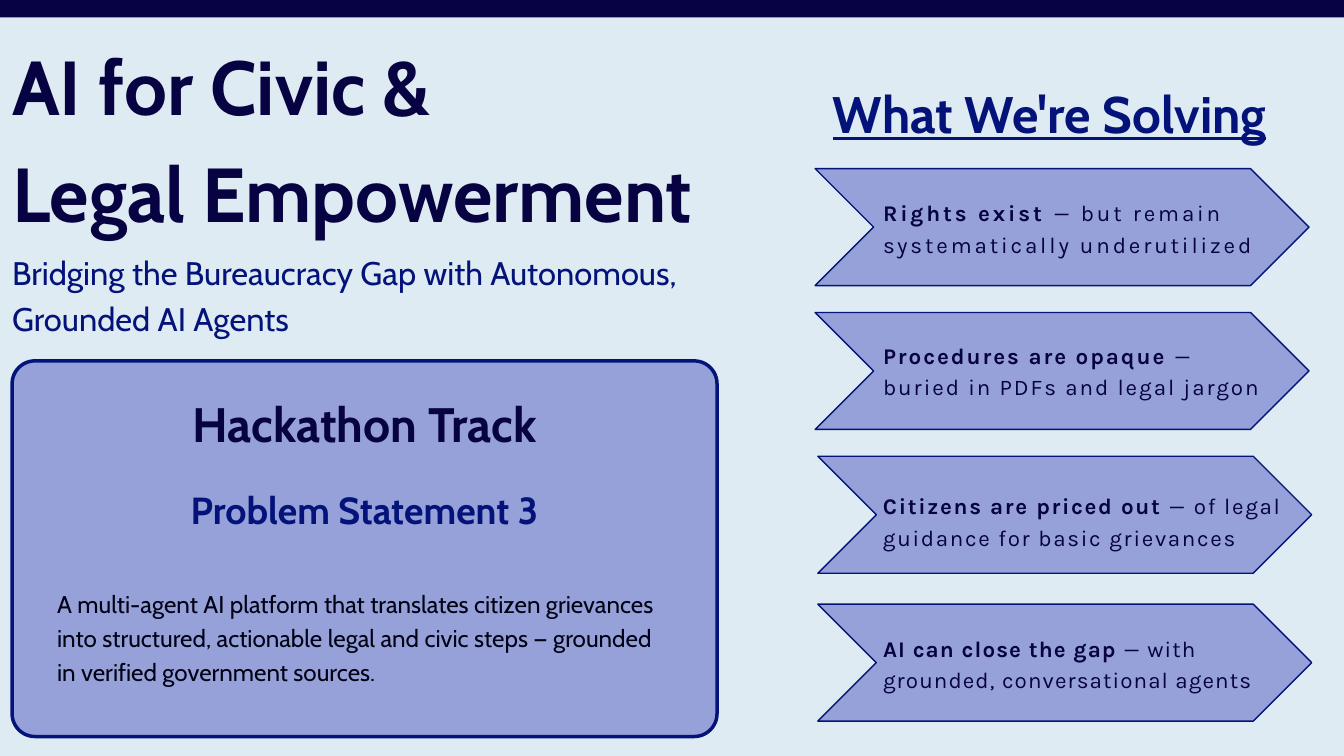
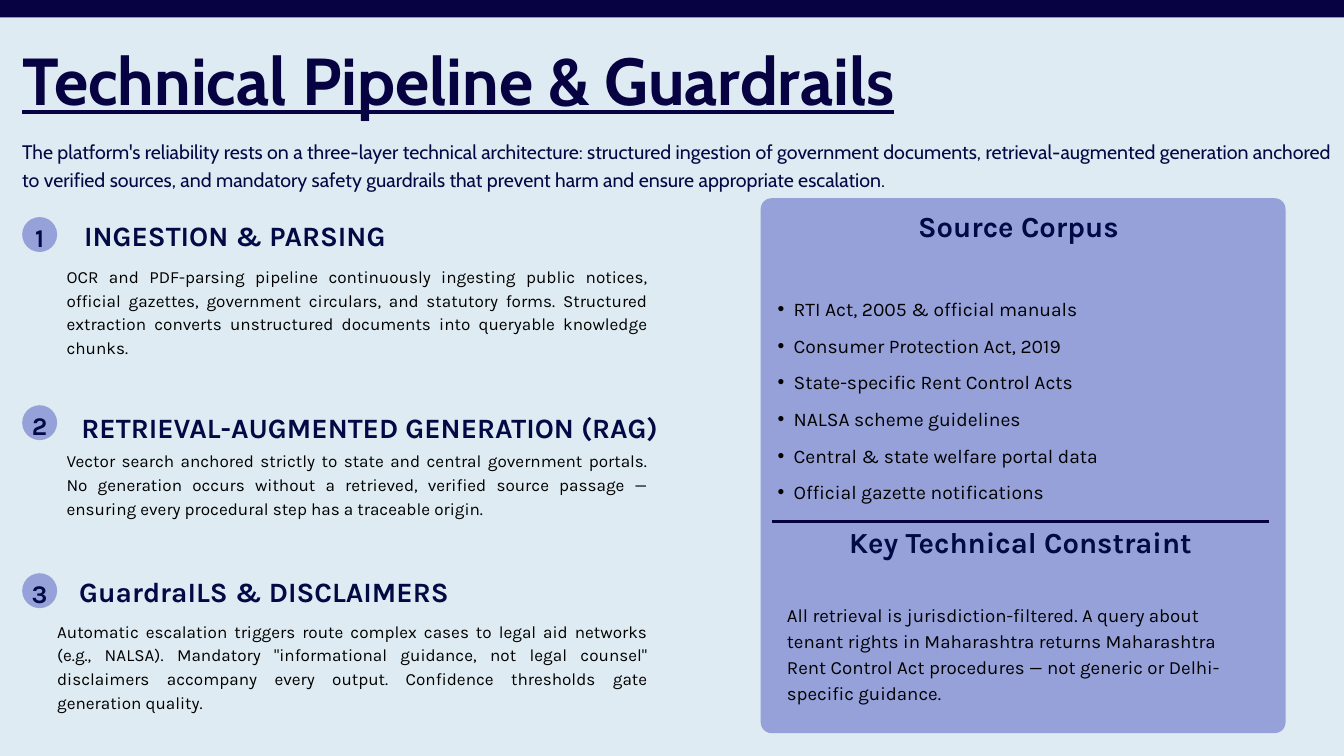
from dataclasses import dataclass, replace

from lxml.etree import SubElement
from pptx import Presentation
from pptx.dml.color import RGBColor
from pptx.enum.shapes import MSO_CONNECTOR, MSO_SHAPE
from pptx.enum.text import MSO_ANCHOR, MSO_AUTO_SIZE, PP_ALIGN
from pptx.oxml.ns import qn
from pptx.util import Pt

EMU_PER_PX = 9144


def px(length):
    return length * EMU_PER_PX


@dataclass(frozen=True)
class Box:
    left: int
    top: int
    width: int
    height: int

    def inset(self, left, top, width, height):
        return Box(self.left + left, self.top + top, width, height)

    def emu(self):
        return px(self.left), px(self.top), px(self.width), px(self.height)


@dataclass(frozen=True)
class Style:
    font: str
    size: float
    leading: float
    color: str
    bold: bool = False
    underline: bool = False


class Theme:
    paper = "DEEBF2"
    navy = "070241"
    blue = "04137A"
    ink = "020A45"
    black = "000000"
    lavender = "96A1D9"
    display = "Cabin"
    text = "Karla"

    cover_title = Style(display, 81.9, 114.7, navy, bold=True)
    cover_subtitle = Style(display, 35, 49, blue)
    cover_heading = Style(display, 55, 77, blue, bold=True, underline=True)
    track = Style(display, 51.8, 48.1, navy, bold=True)
    statement = Style(display, 40.4, 37.5, blue, bold=True)
    summary = Style(display, 25.9, 36.2, "010115")
    problem = Style(text, 24, 33.6, navy, bold=True)

    page_title = Style(display, 71.1, 99.5, navy, bold=True, underline=True)
    intro = Style(display, 21, 29.4, ink)
    badge = Style(text, 27.3, 38.2, ink, bold=True)
    layer = Style(text, 30, 42, ink, bold=True)
    layer_body = Style(text, 18.3, 25.6, black)
    panel_heading = Style(text, 31.2, 43.6, ink, bold=True)
    source = Style(text, 20.7, 39.3, black)
    constraint = Style(text, 20, 28, black)


@dataclass(frozen=True)
class Span:
    text: str
    style: Style
    tracking: float = 0


@dataclass(frozen=True)
class Para:
    spans: tuple
    align: PP_ALIGN = PP_ALIGN.LEFT
    before: float = 0
    bullet: str = ""


def line(text, style, align=PP_ALIGN.LEFT, before=0, bullet=""):
    return Para((Span(text, style),), align, before, bullet)


def rgb(color):
    return RGBColor.from_string(color)


def set_bullet(para, bullet):
    properties = para._p.get_or_add_pPr()
    if bullet:
        properties.set("marL", str(px(49)))
        properties.set("indent", str(px(-24)))
        SubElement(properties, qn("a:buChar")).set("char", bullet)
    else:
        properties.set("marL", "0")
        properties.set("indent", "0")
        SubElement(properties, qn("a:buNone"))


def write(shape, paras, anchor=MSO_ANCHOR.TOP, wrap=True):
    frame = shape.text_frame
    frame.auto_size = MSO_AUTO_SIZE.NONE
    frame.word_wrap = wrap
    frame.vertical_anchor = anchor
    frame.margin_left = frame.margin_right = 0
    frame.margin_top = frame.margin_bottom = 0
    for index, item in enumerate(paras):
        para = frame.add_paragraph() if index else frame.paragraphs[0]
        set_bullet(para, item.bullet)
        para.alignment = item.align
        para.line_spacing = Pt(item.spans[0].style.leading)
        para.space_before = Pt(item.before)
        para.space_after = Pt(0)
        for span in item.spans:
            run = para.add_run()
            run.text = span.text
            font = run.font
            font.name = span.style.font
            font.size = Pt(span.style.size)
            font.bold = span.style.bold
            font.underline = span.style.underline
            font.color.rgb = rgb(span.style.color)
            if span.tracking:
                run._r.get_or_add_rPr().set("spc", str(round(span.tracking * 100)))


def add_text(page, box, *paras):
    write(page.shapes.add_textbox(*box.emu()), paras)


def fill_placeholder(placeholder, box, *paras):
    placeholder.left, placeholder.top, placeholder.width, placeholder.height = box.emu()
    placeholder.element.getparent().append(placeholder.element)
    write(placeholder, paras)


def add_block(page, kind, box, fill, outline=None, weight=0):
    shape = page.shapes.add_shape(kind, *box.emu())
    shape.shadow.inherit = False
    shape.fill.solid()
    shape.fill.fore_color.rgb = rgb(fill)
    if outline:
        shape.line.color.rgb = rgb(outline)
        shape.line.width = Pt(weight)
    else:
        shape.line.fill.background()
    return shape


def add_card(page, box, radius, outline=None, weight=0):
    card = add_block(page, MSO_SHAPE.ROUNDED_RECTANGLE, box, Theme.lavender, outline, weight)
    card.adjustments[0] = radius / min(box.width, box.height)


def add_divider(page, left, top, width):
    divider = page.shapes.add_connector(
        MSO_CONNECTOR.STRAIGHT, px(left), px(top), px(left + width), px(top))
    divider.line.color.rgb = rgb(Theme.navy)
    divider.line.width = Pt(3.6)
    SubElement(divider.element.spPr, qn("a:effectLst"))


def add_page(deck):
    page = deck.slides.add_slide(deck.slide_layouts[1])
    add_block(page, MSO_SHAPE.RECTANGLE, Box(0, 0, 2000, 26), Theme.navy)
    return page


def add_track_card(page, box):
    add_card(page, box, 34, Theme.blue, 3.75)
    center = PP_ALIGN.CENTER
    add_text(
        page, box.inset(67, 69, 915, 409),
        line("Hackathon Track", Theme.track, center),
        line("Problem Statement 3", Theme.statement, center, Theme.track.leading),
        line("A multi-agent AI platform that translates citizen grievances into structured, "
             "actionable legal and civic steps — grounded in verified government sources.",
             Theme.summary, before=56.5))


def add_problem(page, box, text_box, claim, detail, tracking):
    add_block(page, MSO_SHAPE.CHEVRON, box, Theme.lavender, Theme.blue, 1.5)
    plain = replace(Theme.problem, bold=False)
    add_text(page, text_box, Para((
        Span(claim, Theme.problem, tracking), Span(detail, plain, tracking))))


def add_problems(page, box):
    add_text(page, box.inset(-9, 0, 716, 101),
             line("What We're Solving", Theme.cover_heading, PP_ALIGN.CENTER))
    problems = (
        (0, 144, 183, 585, "Rights exist ",
         "— but remain systematically underutilized", 3.1),
        (0, 358, 395, 585, "Procedures are opaque ",
         "— buried in PDFs and legal jargon", 2.1),
        (4, 572, 619, 666, "Citizens are priced out",
         " — of legal guidance for basic grievances", 1.8),
        (4, 792, 831, 588, "AI can close the gap",
         " — with grounded, conversational agents", 1.2),
    )
    for left, top, text_top, text_width, claim, detail, tracking in problems:
        add_problem(page, box.inset(left, top, 735, 174),
                    box.inset(101, text_top, text_width, 90), claim, detail, tracking)


def build_cover(deck):
    page = add_page(deck)
    title, subtitle = page.placeholders
    fill_placeholder(title, Box(18, 35, 1172, 313),
                     line("AI for Civic &", Theme.cover_title),
                     line("Legal Empowerment", Theme.cover_title))
    fill_placeholder(subtitle, Box(18, 367, 1100, 150),
                     line("Bridging the Bureaucracy Gap with Autonomous, Grounded AI Agents",
                          Theme.cover_subtitle))
    add_track_card(page, Box(18, 537, 1049, 559))
    add_problems(page, Box(1213, 107, 739, 966))


def add_layer(page, box, number, heading, heading_top, heading_width, body, body_left, body_top):
    badge = add_block(page, MSO_SHAPE.OVAL, box.inset(0, 0, 52, 52), Theme.lavender)
    write(badge, [line(str(number), Theme.badge, PP_ALIGN.CENTER)], MSO_ANCHOR.MIDDLE, False)
    add_text(page, box.inset(52, heading_top, heading_width, 58),
             line(heading, Theme.layer, PP_ALIGN.CENTER))
    add_text(page, box.inset(body_left, body_top, box.width - body_left, 140),
             line(body, Theme.layer_body, PP_ALIGN.JUSTIFY))


def add_layers(page, box):
    layers = (
        (0, "INGESTION & PARSING", -6, 529,
         "OCR and PDF-parsing pipeline continuously ingesting public notices, official gazettes, "
         "government circulars, and statutory forms. Structured extraction converts unstructured "
         "documents into queryable knowledge chunks.", 66, 68),
        (280, "RETRIEVAL-AUGMENTED GENERATION (RAG)", -1, 931,
         "Vector search anchored strictly to state and central government portals. No generation "
         "occurs without a retrieved, verified source passage — ensuring every procedural step "
         "has a traceable origin.", 66, 62),
        (530, "GuardraILS & DISCLAIMERS", -6, 616,
         "Automatic escalation triggers route complex cases to legal aid networks (e.g., NALSA). "
         "Mandatory \"informational guidance, not legal counsel\" disclaimers accompany every "
         "output. Confidence thresholds gate generation quality.", 52, 66),
    )
    for number, (top, *details) in enumerate(layers, 1):
        add_layer(page, box.inset(0, top, box.width, 210), number, *details)


def add_source_panel(page, box, corpus):
    add_card(page, box, 16)
    sources = (
        "RTI Act, 2005 & official manuals",
        "Consumer Protection Act, 2019",
        "State-specific Rent Control Acts",
        "NALSA scheme guidelines",
        "Central & state welfare portal data",
        "Official gazette notifications",
    )
    gap = Theme.panel_heading.leading
    fill_placeholder(
        corpus, box.inset(0, 6, 767, 460),
        line("Source Corpus", Theme.panel_heading, PP_ALIGN.CENTER),
        *(line(source, Theme.source, before=0 if index else gap, bullet="•")
          for index, source in enumerate(sources)))
    add_divider(page, box.left + 17, box.top + 481, 739)
    add_text(
        page, box.inset(39, 477, 695, 305),
        line("Key Technical Constraint", Theme.panel_heading, PP_ALIGN.CENTER),
        line("All retrieval is jurisdiction-filtered. A query about tenant rights in Maharashtra "
             "returns Maharashtra Rent Control Act procedures — not generic or Delhi-specific "
             "guidance.", Theme.constraint, before=gap))


def build_pipeline(deck):
    page = add_page(deck)
    title, corpus = page.placeholders
    add_text(page, Box(33, 203, 1967, 120),
             line("The platform's reliability rests on a three-layer technical architecture: "
                  "structured ingestion of government documents, retrieval-augmented generation "
                  "anchored to verified sources, and mandatory safety guardrails that prevent "
                  "harm and ensure appropriate escalation.", Theme.intro))
    fill_placeholder(title, Box(33, 38, 1654, 140),
                     line("Technical Pipeline & Guardrails", Theme.page_title))
    add_layers(page, Box(33, 323, 931, 767))
    add_source_panel(page, Box(1132, 295, 781, 796), corpus)


def main():
    deck = Presentation()
    deck.slide_width, deck.slide_height = px(2000), px(1125)
    background = deck.slide_master.background.fill
    background.solid()
    background.fore_color.rgb = rgb(Theme.paper)
    build_cover(deck)
    build_pipeline(deck)
    deck.save("out.pptx")


if __name__ == "__main__":
    main()
